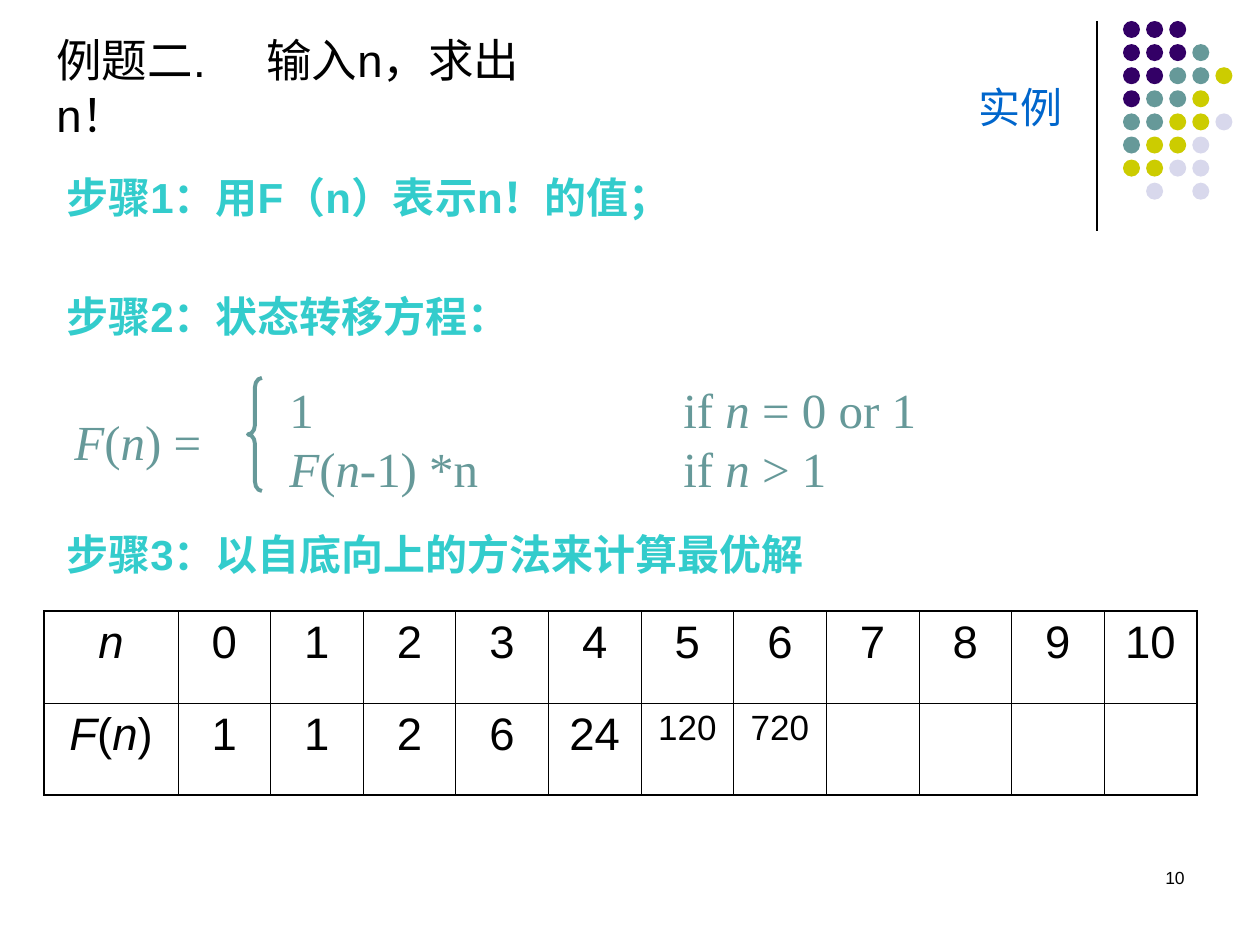
import pptx
import pptx.util
import pptx.dml.color
import pptx.enum.shapes
import pptx.enum.text
import pptx.oxml
import pptx.oxml.ns
import lxml.etree

THEME = {
    "black": "000000", "step": "33CCCC", "math": "669999", "tag": "0066CC",
    "dots": {"P": "330066", "T": "669999", "Y": "CCCC00", "L": "D8D8EC"},
    "sans": "Arial", "serif": "Times New Roman", "han": "Noto Sans CJK SC",
    "title": 26, "head": 24, "formula": 28, "cell": 26, "small": 20, "page": 10,
    "thin": 0.45, "thick": 1.08, "rule": 0.74, "brace": 2.24,
}
DOTS = ["PPP", "PPPT", "PPTTY", "PTTY", "TTYYL", "TYYL", "YYLL", " L L"]
STEPS = [
    ((54, 165, 1072, 63), "步骤1：用F（n）表示n！的值；"),
    ((54, 284, 440, 63), "步骤2：状态转移方程："),
    ((54, 522, 1012, 63), "步骤3：以自底向上的方法来计算最优解"),
]
LEFT = ["|F|(|n|) ="]
CASES = ["1\tif |n| = 0 or 1", "|F|(|n|-1) *n\tif |n| > 1"]
TABLE = [
    ["|n|"] + [str(n) for n in range(11)],
    ["|F|(|n|)", "1", "1", "2", "6", "24", "120", "720", "", "", "", ""],
]
ALIGN = pptx.enum.text.PP_ALIGN
SHAPE = pptx.enum.shapes.MSO_SHAPE
qn = pptx.oxml.ns.qn


def px(n):
    return pptx.util.Emu(round(n * 914400 / 126))


def rgb(code):
    return pptx.dml.color.RGBColor.from_string(code)


def node(top, tag, **attrs):
    return lxml.etree.SubElement(top, qn(tag), **attrs)


def write(para, text, size, color, font, bold=False, align=ALIGN.LEFT, gap=0, tab=None):
    para.alignment = align
    para.space_before = pptx.util.Pt(gap)
    if tab:
        tabs = node(para._p.get_or_add_pPr(), "a:tabLst")
        node(tabs, "a:tab", pos=str(px(tab)), algn="l")
    for i, part in enumerate(text.split("|")):
        if not part:
            continue
        run = para.add_run()
        run.text = part
        face = run.font
        face.size = pptx.util.Pt(size)
        face.bold = bold
        face.italic = i % 2 == 1
        face.color.rgb = rgb(color)
        face.name = font
        node(run._r.get_or_add_rPr(), "a:ea", typeface=THEME["han"])


def label(box, lines, *style, wrap=True, mid=False, **more):
    frame = slide.shapes.add_textbox(*map(px, box)).text_frame
    frame.word_wrap = wrap
    if mid:
        frame.vertical_anchor = pptx.enum.text.MSO_ANCHOR.MIDDLE
    for i, line in enumerate(lines):
        para = frame.add_paragraph() if i else frame.paragraphs[0]
        write(para, line, *style, **more)


def edge(cell, side, width):
    line = node(cell._tc.get_or_add_tcPr(), "a:ln" + side, w=str(pptx.util.Pt(width)))
    fill = node(line, "a:solidFill")
    node(fill, "a:srgbClr", val=THEME["black"])


def grid(rows, left, top, first, wide, high):
    cols = len(rows[0])
    table = slide.shapes.add_table(
        len(rows), cols, px(left), px(top), px(wide), px(high * len(rows))).table
    table.first_row = table.horz_banding = False
    for c, col in enumerate(table.columns):
        col.width = px((wide - first) / (cols - 1) if c else first)
    for r, row in enumerate(rows):
        table.rows[r].height = px(high)
        for c, text in enumerate(row):
            cell = table.cell(r, c)
            outer = {"L": c == 0, "R": c == cols - 1, "T": r == 0, "B": r == len(rows) - 1}
            for side, out in outer.items():
                edge(cell, side, THEME["thick" if out else "thin"])
            cell.fill.background()
            size = THEME["small" if len(text) == 3 and "|" not in text else "cell"]
            write(cell.text_frame.paragraphs[0], text, size, THEME["black"],
                  THEME["sans"], align=ALIGN.CENTER, gap=size / 4)


deck = pptx.Presentation()
deck.slide_width, deck.slide_height = px(1260), px(945)
slide = deck.slides.add_slide(deck.slide_layouts[6])

rule = slide.shapes.add_connector(
    pptx.enum.shapes.MSO_CONNECTOR.STRAIGHT, px(1097), px(21), px(1097), px(231))
rule.line.color.rgb = rgb(THEME["black"])
rule.line.width = pptx.util.Pt(THEME["rule"])
node(rule._element.spPr, "a:effectLst")

for r, row in enumerate(DOTS):
    for c, key in enumerate(row):
        if key == " ":
            continue
        dot = slide.shapes.add_shape(
            SHAPE.OVAL, px(1123 + 23.1 * c), px(21 + 23.1 * r), px(17), px(17))
        dot.shadow.inherit = False
        dot.fill.solid()
        dot.fill.fore_color.rgb = rgb(THEME["dots"][key])
        dot.line.fill.background()

label((44, 26, 557, 79), ["例题二.\t输入n，求出n！"], THEME["title"], THEME["black"],
      THEME["sans"], gap=6.5, tab=210)
math = (THEME["formula"], THEME["math"], THEME["serif"])
label((62, 405, 168, 72), LEFT, *math)
label((277, 373, 670, 131), CASES, *math, tab=394)

brace = slide.shapes.add_shape(SHAPE.LEFT_BRACE, px(248), px(378), px(14), px(113))
brace.adjustments[0] = 0.67
brace.shadow.inherit = False
brace.fill.background()
brace.line.color.rgb = rgb(THEME["math"])
brace.line.width = pptx.util.Pt(THEME["brace"])

for box, text in STEPS:
    label(box, [text], THEME["head"], THEME["step"], THEME["sans"], bold=True, gap=15)

grid(TABLE, 44, 611, 134, 1153, 92)
label((966, 75, 126, 63), ["实例"], THEME["head"], THEME["tag"], THEME["han"],
      wrap=False, mid=True)
label((903, 861, 294, 63), ["10"], THEME["page"], THEME["black"], THEME["sans"],
      align=ALIGN.RIGHT)

deck.save("out.pptx")
